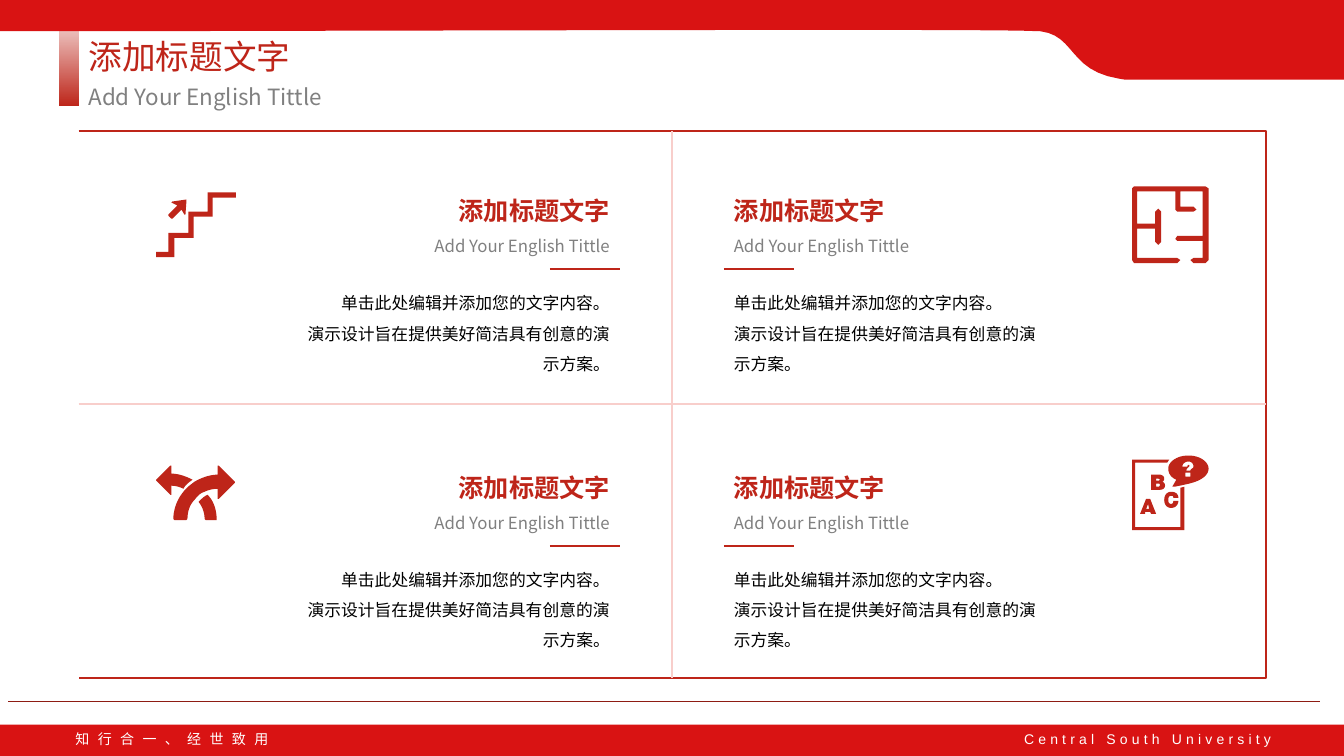
from lxml.etree import SubElement
from pptx import Presentation
from pptx.dml.color import RGBColor
from pptx.enum.shapes import MSO_CONNECTOR as Connector, MSO_SHAPE as Shape
from pptx.enum.text import MSO_ANCHOR as Anchor, MSO_AUTO_SIZE as AutoSize, PP_ALIGN as Align
from pptx.oxml.ns import qn
from pptx.util import Pt

WIDTH, HEIGHT = 960, 540
RED, BAND_RED, PALE_RED, DARK_RED = "BE2519", "D91313", "F8CECB", "8E1C13"
GREY, BLACK, WHITE = "808080", "000000", "FFFFFF"
CJK = "Noto Sans CJK SC"
HEADING, SUBHEADING = "添加标题文字", "Add Your English Tittle"
BODY = ["单击此处编辑并添加您的文字内容。", "演示设计旨在提供美好简洁具有创意的演示方案。"]

# Outlines use units of 0.72 pt: two numbers are a corner, six a Bézier curve.
GRID = 0.72
STAIRS = [
    [(79, 0), (79, 5), (56, 5), (56, 24), (37, 24), (37, 45), (18, 45), (18, 64),
     (0, 64), (0, 59), (12, 59), (12, 40), (32, 40), (32, 19), (51, 19), (51, 0)],
    [(30, 7), (16, 9), (15, 10), (21, 13), (12, 22), (12, 23), (15, 26), (16, 26),
     (25, 17), (28, 22), (29, 22), (30, 8)],
]
MAZE = [
    [(73, 0), (2, 0), (0, 2), (0, 73), (2, 76), (45, 76), (48, 73), (45, 71), (5, 71),
     (5, 42), (23, 42), (23, 55), (26, 58), (29, 55), (29, 25), (26, 22), (23, 25),
     (23, 37), (5, 37), (5, 5), (43, 5), (43, 23), (45, 25), (61, 25), (64, 23),
     (61, 20), (48, 20), (48, 5), (70, 5), (70, 49), (45, 49), (43, 52), (45, 54),
     (70, 54), (70, 71), (61, 71), (58, 73), (61, 76), (73, 76), (76, 73), (76, 2)],
]
CROSSROADS = [
    [(51, 29), (57, 35, 60, 44, 60, 54), (49, 54), (48, 53), (48, 47, 46, 41, 42, 36),
     (45, 33, 48, 30, 51, 29)],
    [(61, 0), (62, 0), (78, 16), (78, 17), (62, 33), (61, 33), (61, 23),
     (57, 23, 52, 24, 48, 26), (44, 27, 41, 30, 38, 34), (33, 39, 31, 46, 31, 53),
     (30, 54), (18, 54), (17, 53), (17, 43, 21, 33, 27, 26), (30, 22, 34, 19, 38, 16),
     (45, 12, 53, 9, 61, 9)],
    [(15, 0), (15, 8), (23, 8, 30, 11, 36, 14), (32, 17, 29, 19, 27, 23),
     (23, 21, 19, 20, 15, 20), (15, 29), (14, 29), (0, 15), (0, 14), (14, 0)],
]
QUIZ_CARD = [
    [(16, 48), (14, 53), (17, 53)],
    [(14, 43), (18, 43), (24, 58), (19, 58), (18, 56), (13, 56), (13, 58), (8, 58)],
    [(39, 36), (43, 36, 46, 38, 46, 42), (41, 42), (41, 40, 40, 40, 39, 40),
     (37, 40, 36, 41, 36, 44), (36, 47, 37, 48, 39, 48), (40, 48, 41, 47, 41, 45),
     (46, 45), (46, 49, 43, 52, 39, 52), (34, 52, 32, 48, 32, 44),
     (32, 39, 35, 36, 39, 36)],
    [(24, 28), (24, 31), (26, 31), (28, 31, 28, 28, 27, 28)],
    [(24, 23), (24, 25), (26, 25), (28, 25, 28, 23, 26, 23)],
    [(19, 19), (27, 19), (33, 19, 33, 25, 30, 26), (34, 27, 34, 34, 28, 34), (19, 34)],
    [(53, 17), (53, 21), (58, 21), (58, 17)],
    [(56, 6), (53, 6, 50, 8, 50, 11), (55, 11), (55, 9, 57, 9, 57, 10),
     (57, 12, 54, 12, 54, 15), (58, 15), (58, 13, 61, 13, 61, 11),
     (61, 8, 59, 6, 56, 6)],
    [(0, 4), (37, 4), (35, 7), (3, 7), (3, 71), (48, 71), (48, 32), (52, 31),
     (52, 74), (0, 74)],
    [(56, 0), (67, 0, 76, 6, 76, 13), (76, 19, 70, 24, 60, 27),
     (53, 29, 42, 31, 42, 31), (40, 31), (44, 24), (39, 22, 36, 18, 36, 13),
     (36, 6, 45, 0, 56, 0)],
]
WAVE = [
    [(0, 0), (1333.33, 0), (1333.33, 79), (1116, 79), (1110, 78),
     (1060, 70, 1067, 35, 1032, 31), (997, 28, 344, 31, 0, 31)],
]


def color(value):
    return RGBColor.from_string(value)


def paint(shape, fill):
    shape.shadow.inherit = False
    shape.fill.solid()
    shape.fill.fore_color.rgb = color(fill)
    shape.line.fill.background()


def trace(contour, steps=12):
    """Turn corners and Bézier curves into points on a fine grid."""
    points = []
    for part in contour:
        if len(part) == 2:
            points.append(part)
            continue
        knots = [points[-1], part[:2], part[2:4], part[4:]]
        for step in range(1, steps + 1):
            t = step / steps
            weights = ((1 - t) ** 3, 3 * t * (1 - t) ** 2, 3 * t * t * (1 - t), t ** 3)
            points.append(tuple(sum(w * k[axis] for w, k in zip(weights, knots))
                                for axis in (0, 1)))
    return [(round(x * 100), round(y * 100)) for x, y in points]


def add_outline(slide, left, top, contours, fill):
    traced = [trace(contour) for contour in contours]
    builder = slide.shapes.build_freeform(*traced[0][0], scale=Pt(GRID) / 100)
    for index, points in enumerate(traced):
        if index:
            builder.move_to(*points[0])
        builder.add_line_segments(points[1:], close=True)
    paint(builder.convert_to_shape(Pt(left), Pt(top)), fill)


def add_line(slide, start, end, stroke, weight):
    line = slide.shapes.add_connector(Connector.STRAIGHT, *map(Pt, start + end))
    line.line.color.rgb = color(stroke)
    line.line.width = Pt(weight)
    SubElement(line._element.spPr, qn("a:effectLst"))


def write(box, lines, size, ink, align=Align.LEFT, font=CJK, bold=False,
          line_spacing=None, tracking=0, wrap=True):
    frame = box.text_frame
    frame.word_wrap = wrap
    frame.auto_size = AutoSize.SHAPE_TO_FIT_TEXT
    frame.vertical_anchor = Anchor.TOP
    for index, text in enumerate(lines):
        para = frame.add_paragraph() if index else frame.paragraphs[0]
        para.alignment = align
        para.line_spacing = line_spacing
        span = para.add_run()
        span.text = text
        span.font.name, span.font.size, span.font.bold = font, Pt(size), bold
        span.font.color.rgb = color(ink)
        properties = span._r.get_or_add_rPr()
        SubElement(properties, qn("a:ea"), typeface=font)
        if tracking:
            properties.set("spc", str(tracking * 100))


def add_text(slide, left, top, width, height, *args, **style):
    write(slide.shapes.add_textbox(*map(Pt, (left, top, width, height))), *args, **style)


def add_header(slide, left, top, width):
    title = slide.shapes.title
    title.left, title.top, title.width, title.height = map(Pt, (left, top, width, 36))
    write(title, [HEADING], 24, RED)
    add_text(slide, left, top + 33.8, width, 26.6, [SUBHEADING], 16, GREY)
    bar = slide.shapes.add_shape(Shape.RECTANGLE, Pt(left - 13.4), 0, Pt(13.4), Pt(75.4))
    paint(bar, RED)
    bar.fill.gradient()
    bar.fill.gradient_angle = 90
    for stop, position in zip(bar.fill.gradient_stops, (0, 1)):
        stop.color.rgb = color(RED)
        stop.position = position
    clear = bar._element.spPr.findall(".//" + qn("a:srgbClr"))[-1]
    SubElement(clear, qn("a:alpha"), val="0")
    add_outline(slide, 0, 0, WAVE, BAND_RED)


def add_quadrant(slide, left, top, align):
    width, rule = 237.6, 50
    add_text(slide, left, top, width, 28.8, [HEADING], 18, RED, align, bold=True)
    add_text(slide, left, top + 29, width, 21.6, [SUBHEADING], 12, GREY, align)
    add_text(slide, left, top + 62.6, width, 69.8, BODY, 12, BLACK, align, line_spacing=1.5)
    start = left + width - rule if align == Align.RIGHT else left
    add_line(slide, (start, top + 56.4), (start + rule, top + 56.4), RED, 1.5)


def add_matrix(slide, left, top, width, height):
    frame = slide.shapes.add_shape(Shape.RIGHT_BRACKET, *map(Pt, (left, top, width, height)))
    frame.adjustments[0] = 0
    paint(frame, WHITE)
    frame.line.color.rgb = color(RED)
    frame.line.width = Pt(1.75)
    middle, center = top + height / 2, left + width / 2
    add_line(slide, (left, middle), (left + width, middle), PALE_RED, 1.5)
    add_line(slide, (center, top), (center, top + height), PALE_RED, 1.5)
    columns = [(149, 55.4, Align.RIGHT), (460.9, 752.4, Align.LEFT)]
    icons = [[(STAIRS, 1.5), (MAZE, -2.8)], [(CROSSROADS, -1), (QUIZ_CARD, -8.2)]]
    for row, row_icons in enumerate(icons):
        text_top = top + 42.4 + row * 197.6
        for (text_x, icon_x, align), (icon, shift) in zip(columns, row_icons):
            add_outline(slide, left + icon_x, text_top + shift, icon, RED)
            add_quadrant(slide, left + text_x, text_top, align)


def add_footer(slide, top):
    add_line(slide, (5.8, top - 16.5), (943.2, top - 16.5), DARK_RED, 0.5)
    band = slide.shapes.add_shape(Shape.RECTANGLE, 0, Pt(top), Pt(WIDTH), Pt(HEIGHT - top))
    paint(band, BAND_RED)
    add_text(slide, 46.8, top + 0.8, 159.8, 19.4, ["知行合一、经世致用"], 10, WHITE,
             tracking=6, wrap=False)
    add_text(slide, 719.3, top + 0.8, 195.8, 19.4, ["Central South University"], 10, WHITE,
             Align.RIGHT, font="Arial", tracking=3, wrap=False)


def main():
    deck = Presentation()
    deck.slide_width, deck.slide_height = Pt(WIDTH), Pt(HEIGHT)
    page = deck.slides.add_slide(deck.slide_layouts[5])
    add_header(page, 56.2, 22.3, 871.2)
    add_matrix(page, 56.2, 93.6, 848.2, 390.6)
    add_footer(page, 517.6)
    deck.save("out.pptx")


if __name__ == "__main__":
    main()
